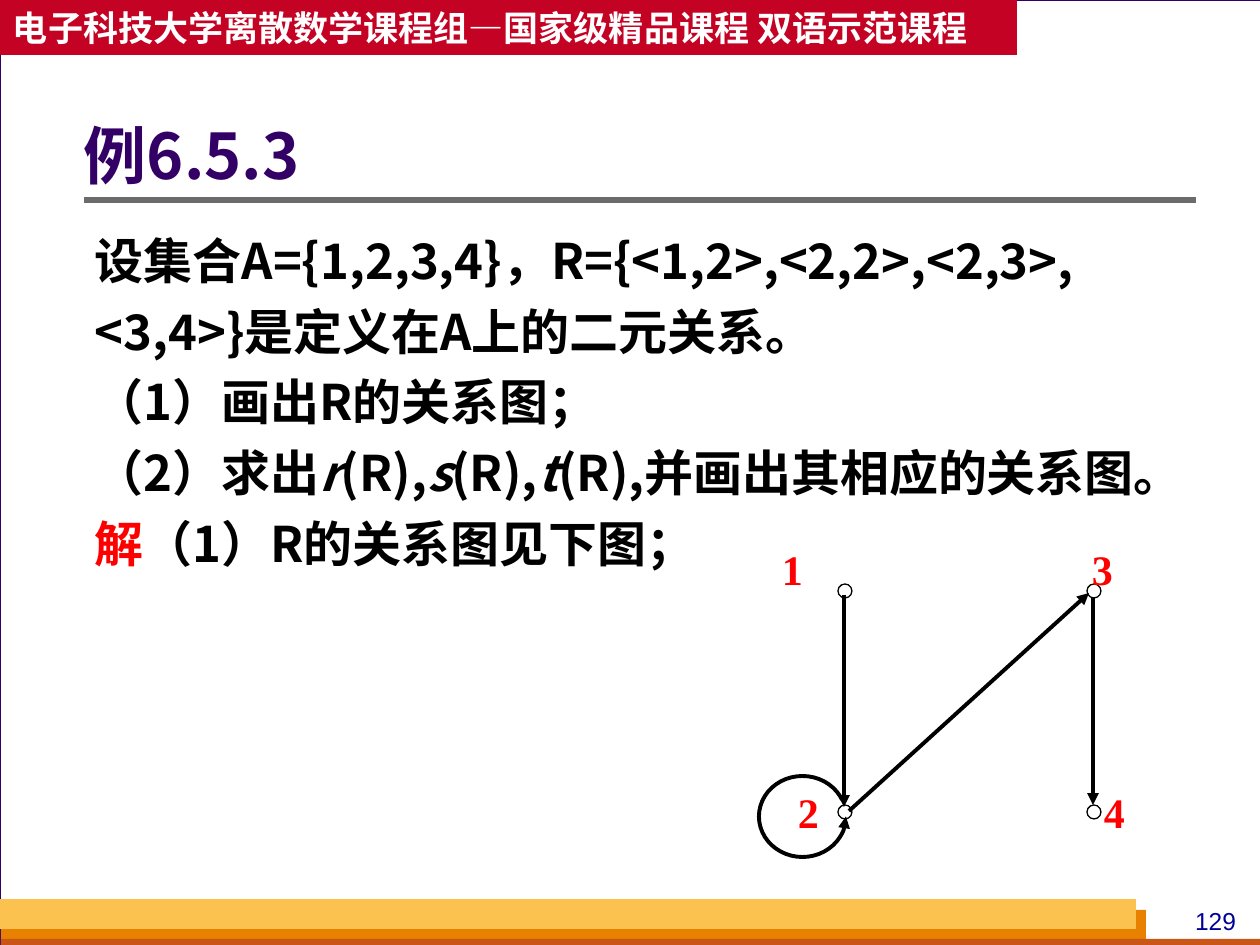
from typing import NamedTuple

import pptx
import pptx.dml.color
import pptx.enum.dml
import pptx.enum.shapes
import pptx.enum.text
import pptx.oxml.ns
import pptx.util
from lxml import etree

SCALE = 914400 / 126
SANS, SERIF = "Noto Sans CJK SC", "Times New Roman"
BLACK, RED, WHITE, PLUM = "000000", "FF0000", "FFFFFF", "330066"
KIND = pptx.enum.shapes.MSO_SHAPE
ALIGN = pptx.enum.text.PP_ALIGN
ANCHOR = pptx.enum.text.MSO_ANCHOR


class Box(NamedTuple):
    x: int
    y: int
    w: int
    h: int


class Run(NamedTuple):
    text: str
    size: int
    color: str = BLACK
    font: str = SANS
    bold: bool = True
    slant: bool = False


class Bar(NamedTuple):
    box: Box
    fill: str
    line: str = ""


class Node(NamedTuple):
    name: str
    x: int
    y: int
    label: Box


class Edge(NamedTuple):
    x1: int
    y1: int
    x2: int
    y2: int


BARS = [
    Bar(Box(0, 0, 1261, 945), WHITE, PLUM),
    Bar(Box(1, 910, 1145, 35), "E88000"),
    Bar(Box(1, 939, 1260, 10), "C95616"),
    Bar(Box(0, 899, 1136, 30), "FCC24F"),
]
NODES = [
    Node("1", 845, 591, Box(769, 538, 91, 110)),
    Node("2", 845, 812, Box(785, 780, 91, 110)),
    Node("3", 1094, 591, Box(1079, 538, 91, 110)),
    Node("4", 1094, 812, Box(1091, 780, 91, 110)),
]
EDGES = [
    Edge(849, 811, 1089, 593),
    Edge(844, 595, 844, 807),
    Edge(1093, 597, 1093, 805),
]
BODY = [
    [("设集合A={1,2,3,4}，R={<1,2>,<2,2>,<2,3>, <3,4>}是定义在A上的二元关系。", BLACK)],
    [("（1）画出R的关系图；", BLACK)],
    [("（2）求出", BLACK), ("r", BLACK), ("(R),", BLACK), ("s", BLACK),
     ("(R),", BLACK), ("t", BLACK), ("(R),并画出其相应的关系图。", BLACK)],
    [("解", RED), ("（1）R的关系图见下图；", BLACK)],
]


def px(n: int) -> int:
    return pptx.util.Emu(round(n * SCALE))


def rgb(code: str):
    return pptx.dml.color.RGBColor.from_string(code)


def place(shape, box: Box) -> None:
    shape.left, shape.top, shape.width, shape.height = map(px, box)


def stroke(shape, color: str, width: float) -> None:
    shape.line.color.rgb = rgb(color)
    shape.line.width = pptx.util.Pt(width)


def draw(slide, kind, box: Box, fill: str = "", line: str = "", width: float = 0.75):
    shape = slide.shapes.add_shape(kind, *map(px, box))
    shape.shadow.inherit = False
    if fill:
        shape.fill.solid()
        shape.fill.fore_color.rgb = rgb(fill)
    else:
        shape.fill.background()
    if line:
        stroke(shape, line, width)
    else:
        shape.line.fill.background()
    return shape


def tip(shape, end: str) -> None:
    """Put a triangle at headEnd (start) or tailEnd (finish) of a line."""
    shape.line._get_or_add_ln().append(
        etree.Element(pptx.oxml.ns.qn("a:" + end), type="triangle"))


def arrow(slide, edge: Edge) -> None:
    line = slide.shapes.add_connector(
        pptx.enum.shapes.MSO_CONNECTOR.STRAIGHT, *map(px, edge))
    stroke(line, BLACK, 2.25)
    tip(line, "tailEnd")
    etree.SubElement(line._element.spPr, pptx.oxml.ns.qn("a:effectLst"))


def write(frame, rows: list[list[Run]], align=ALIGN.LEFT, space: float = 1.0,
          anchor=ANCHOR.TOP, wrap: bool = True, left: int = 13) -> None:
    frame.word_wrap = wrap
    frame.auto_size = pptx.enum.text.MSO_AUTO_SIZE.NONE
    frame.vertical_anchor = anchor
    frame.margin_left, frame.margin_right = px(left), px(13)
    frame.margin_top = frame.margin_bottom = px(6)
    for i, row in enumerate(rows):
        para = frame.add_paragraph() if i else frame.paragraphs[0]
        para.alignment, para.line_spacing = align, space
        for item in row:
            run = para.add_run()
            run.text = item.text
            font = run.font
            font.name, font.size = item.font, pptx.util.Pt(item.size)
            font.bold, font.italic = item.bold, item.slant
            font.color.rgb = rgb(item.color)
            etree.SubElement(run._r.get_or_add_rPr(), pptx.oxml.ns.qn("a:ea"),
                             typeface=item.font)


def label(slide, box: Box, rows: list[list[Run]], **style) -> None:
    write(slide.shapes.add_textbox(*map(px, box)).text_frame, rows, **style)


def frame(slide) -> None:
    """Draw the page bars, header, rule and page number."""
    slide.background.fill.solid()
    slide.background.fill.fore_color.rgb = rgb("D8DADA")
    for bar in BARS:
        draw(slide, KIND.RECTANGLE, bar.box, bar.fill, bar.line)
    label(slide, Box(1176, 900, 79, 43),
          [[Run("129", 14, "000099", "Arial", False)]], align=ALIGN.CENTER)
    rule = slide.shapes.add_connector(
        pptx.enum.shapes.MSO_CONNECTOR.STRAIGHT, *map(px, (84, 200, 1196, 200)))
    stroke(rule, "6B6B6B", 3)
    etree.SubElement(rule._element.spPr, pptx.oxml.ns.qn("a:effectLst"))
    head = draw(slide, KIND.RECTANGLE, Box(0, 0, 1017, 55), "C30224")
    write(head.text_frame,
          [[Run("电子科技大学离散数学课程组—国家级精品课程 双语示范课程", 20, WHITE)]],
          anchor=ANCHOR.MIDDLE, wrap=False)


def graph(slide) -> None:
    for node in NODES:
        draw(slide, KIND.OVAL, Box(node.x - 7, node.y - 7, 14, 14), line=BLACK)
        label(slide, node.label, [[Run(node.name, 24, RED, SERIF)]],
              align=ALIGN.JUSTIFY)
    loop = draw(slide, KIND.ARC, Box(759, 776, 87, 81), line=BLACK, width=2.25)
    # Angles count in 60000ths of a degree, adjustments in 100000ths.
    loop.adjustments[0], loop.adjustments[1] = 0, 337 * 0.6
    tip(loop, "headEnd")
    for edge in EDGES:
        arrow(slide, edge)


def main() -> None:
    deck = pptx.Presentation()
    deck.slide_width, deck.slide_height = px(1260), px(945)
    slide = deck.slides.add_slide(deck.slide_layouts[5])
    frame(slide)
    title = slide.shapes.title
    title._element.getparent().append(title._element)  # bring above the bars
    place(title, Box(84, 96, 1111, 127))
    write(title.text_frame, [[Run("例6.5.3", 36, PLUM)]], space=0.9,
          anchor=ANCHOR.MIDDLE, left=0)
    rows = [[Run(text, 28, color, slant=text in ("r", "s", "t"))
             for text, color in row] for row in BODY]
    label(slide, Box(82, 213, 1111, 633), rows, space=1.2)
    graph(slide)
    deck.save("out.pptx")


if __name__ == "__main__":
    main()
